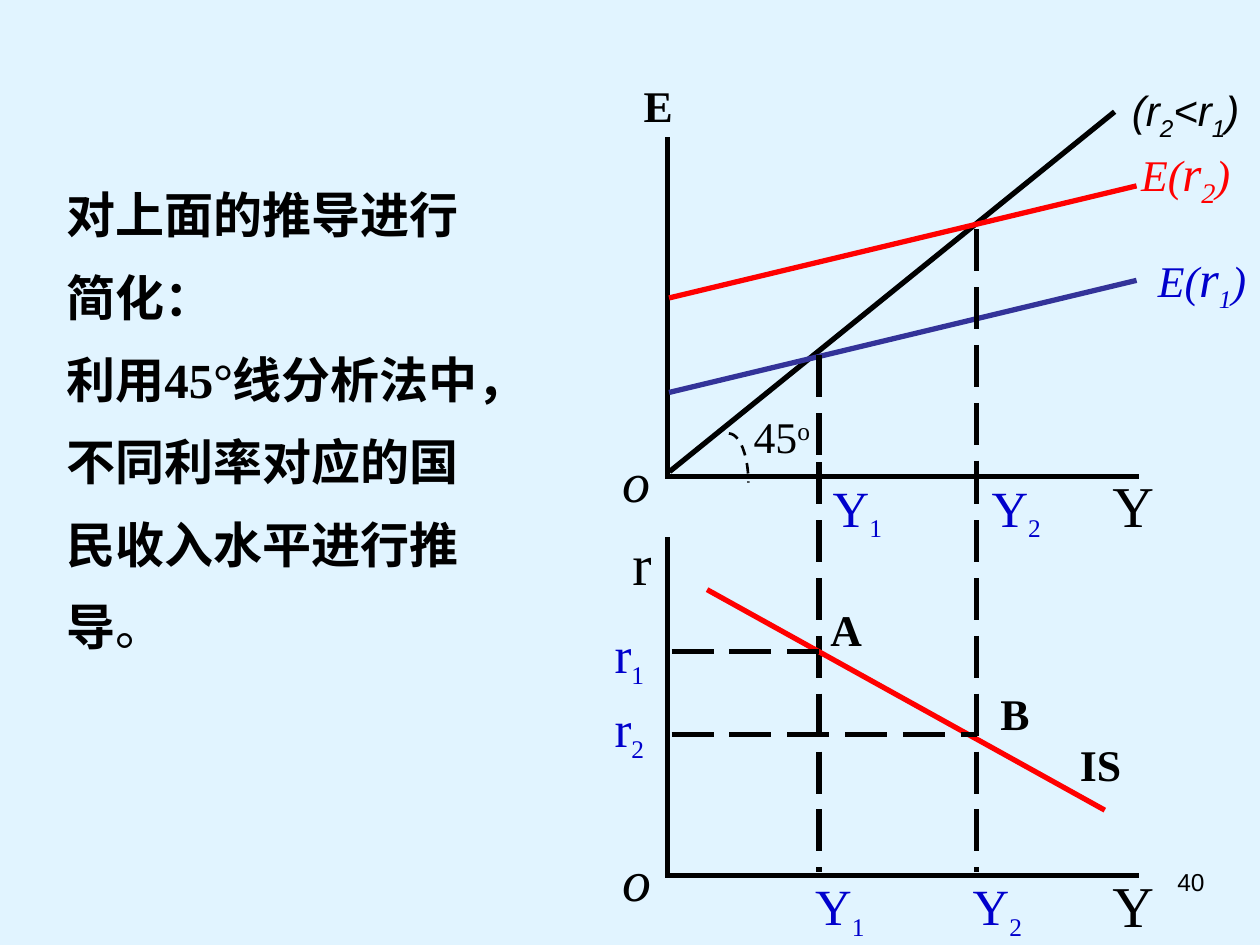
"""Build the slide that derives the IS curve from the 45-degree diagram."""
from lxml import etree
from pptx import Presentation, util as u
from pptx.dml.color import RGBColor
from pptx.enum import dml, shapes, text
from pptx.oxml.ns import qn

BLACK, RED, BLUE, INDIGO = "000000", "FF0000", "0000CC", "333399"
SERIF = "Times New Roman"
LONG = dml.MSO_LINE.LONG_DASH

prs = Presentation()
prs.slide_width, prs.slide_height = u.Inches(10), u.Inches(7.5)
cell = prs.slide_width / 100
s = prs.slides.add_slide(prs.slide_layouts[6])
rgb = RGBColor.from_string
s.background.fill.solid()
s.background.fill.fore_color.rgb = rgb("E1F4FF")


def line(x1, y1, x2, y2, color=BLACK, dash=None):
    """Draw a straight line between two grid points."""
    c = s.shapes.add_connector(shapes.MSO_CONNECTOR.STRAIGHT,
                               *(round(v * cell) for v in (x1, y1, x2, y2)))
    c.line.color.rgb = rgb(color)
    c.line.width = u.Pt(3)
    c.line.dash_style = dash
    if dash is None:
        c._element.spPr.find(qn("a:ln")).set("cap", "sq")
    etree.SubElement(c._element.spPr, qn("a:effectLst"))


def label(x, y, w, h, paras, color=BLACK, bold=False, italic=False, align="CENTER"):
    """Write paragraphs of (text, size, baseline) runs in a grid box."""
    tf = s.shapes.add_textbox(*(round(v * cell) for v in (x, y, w, h))).text_frame
    tf.word_wrap = False
    tf.auto_size = text.MSO_AUTO_SIZE.SHAPE_TO_FIT_TEXT
    tf.vertical_anchor = text.MSO_ANCHOR.MIDDLE
    for i, (font, ink, runs) in enumerate(paras):
        p = tf.add_paragraph() if i else tf.paragraphs[0]
        p.alignment = text.PP_ALIGN[align]
        p.font.name, p.font.bold, p.font.italic = font, bold, italic
        p.font.color.rgb = rgb(ink or color)
        for words, size, base in runs:
            r = p.add_run()
            r.text = words
            r.font.size = u.Pt(size)
            if base:
                r._r.get_or_add_rPr().set("baseline", str(base * 1000))
    return tf


left, right = 53, 90.2
y1, y2 = 65, 77.5
r1, r2 = 51.7, 58.3
top, bottom = 37.8, 69.5

for base in (bottom, top):
    line(left, base - 26.7, left, base)
    line(left, base, right, base)
line(53.3, 37.3, 88.3, 9)
line(53.3, 31.1, 90, 22.3, INDIGO)
line(53.3, 23.6, 90, 14.8, RED)
for x, meet in ((y1, 28.2), (y2, 18.2)):
    line(x, meet, x, 37.3, dash=LONG)
    line(x, 36.7, x, 69.2, dash=LONG)
line(56.3, 46.9, 87.5, 64.2, RED)
for x, y in ((y1, r1), (y2, r2)):
    line(53.3, y, x, y, dash=LONG)

sp = s.shapes.add_shape(shapes.MSO_SHAPE.ARC,
                        *(round(v * cell) for v in (56.3, 34.4, 3.1, 7.8)))
sp.shadow.inherit = False
sp.fill.background()
sp.line.color.rgb = rgb(BLACK)
sp.line.width = u.Pt(1.5)
sp.line.dash_style = dml.MSO_LINE.DASH

for x, y, w, h, words, size, bold, italic in (
        (87.3, 68.5, 5.3, 6.5, "Y", 33, False, False),
        (87.3, 36.8, 5.3, 6.5, "Y", 33, False, False),
        (49.2, 41.4, 3.5, 6.5, "r", 33, False, False),
        (48.4, 66.5, 4.3, 6.5, "o", 33, False, True),
        (48.4, 34.9, 4.2, 6.4, "o", 32, False, True),
        (50.1, 5.7, 4.3, 5.2, "E", 25, True, False),
        (64.9, 47.3, 4.5, 5.2, "A", 25, True, False),
        (78.4, 54, 4.3, 5.2, "B", 25, True, False),
        (84.7, 58, 5.3, 5.2, "IS", 25, True, False)):
    label(x, y, w, h, [(SERIF, None, [(words, size, 0)])], bold=bold, italic=italic)

for x, y, w, words, sub in (
        (65.1, 37.3, 5.9, "Y", "1"), (77.7, 37.3, 5.9, "Y", "2"),
        (63.7, 68.9, 5.9, "Y", "1"), (76.2, 68.9, 5.9, "Y", "2"),
        (47.4, 48.9, 5.1, "r", "1"), (47.4, 54.8, 5.1, "r", "2")):
    label(x, y, w, 6.3, [(SERIF, None, [(words, 29, 0), (sub, 25, -25)])], BLUE)

label(58.8, 32, 6.5, 5.2, [(SERIF, None, [("45", 25, 0), ("o", 25, 30)])])
label(90.9, 19.1, 9, 6.3, [(SERIF, None, [
    ("E(", 25, 0), ("r", 29, 0), ("1", 25, -25), (")", 25, 0)])], BLUE, italic=True)
label(88.4, 6.2, 11.4, 10.9, [
    ("Arial", None, [("(r", 24, 0), ("2", 24, -25), ("<r", 24, 0),
                     ("1", 24, -25), (") ", 24, 0)]),
    (SERIF, RED, [("E(", 25, 0), ("r", 28, 0), ("2", 28, -25), (")", 25, 0)])],
    italic=True)

tf = label(4.3, 12.3, 36.2, 40.2, [
    (SERIF, None, [("对上面的推导进行简化：", 28, 0)]),
    (SERIF, None, [("利用45°线分析法中，不同利率对应的国民收入水平进行推导", 28, 0),
                   ("。", 28, 0)])], bold=True, align="LEFT")
tf.word_wrap = True
for p in tf.paragraphs:
    p.line_spacing = 1.4
tf.paragraphs[1].runs[1].font.bold = False

tf = label(71.6, 68.3, 25, 5.2, [("Arial", None, [("40", 14, 0)])], align="RIGHT")
tf.word_wrap = True
tf.auto_size = text.MSO_AUTO_SIZE.NONE
tf.vertical_anchor = text.MSO_ANCHOR.TOP

prs.save("out.pptx")
